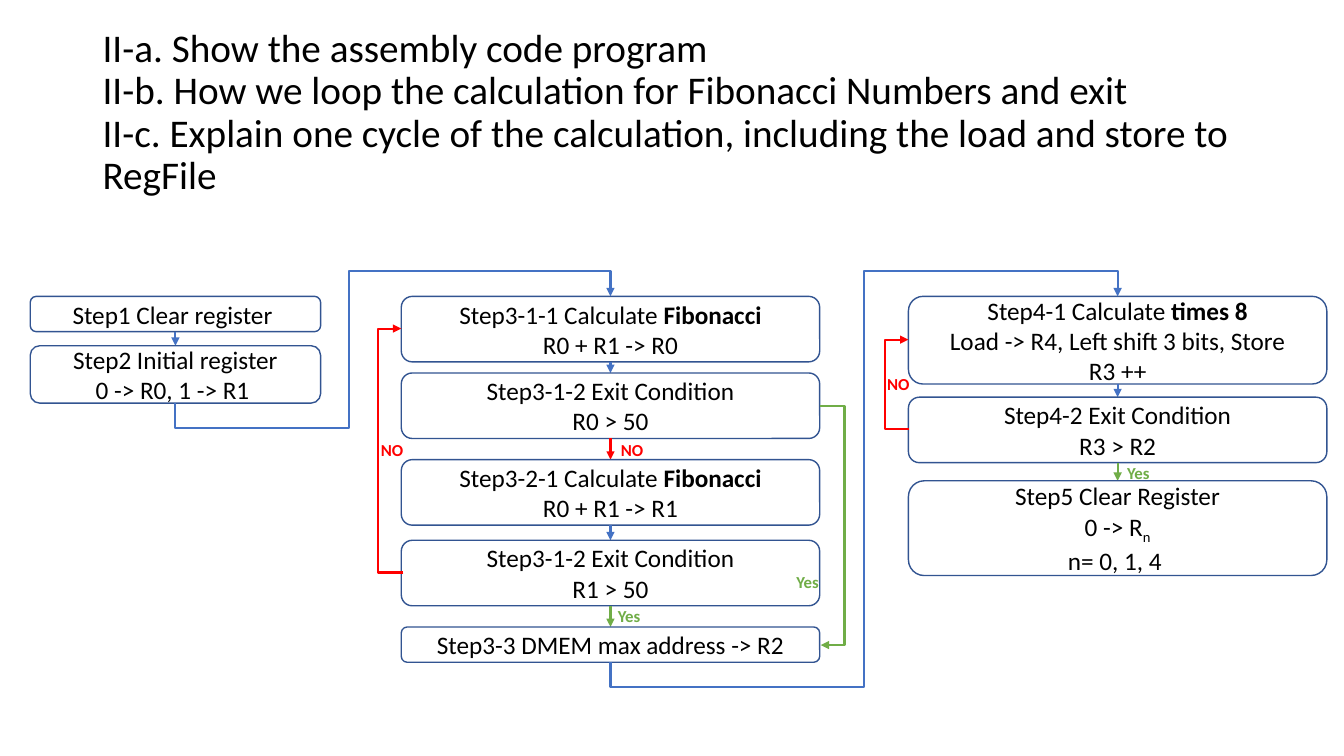
from lxml import etree
from pptx import Presentation
from pptx.dml.color import RGBColor as RGB
from pptx.enum.shapes import MSO_CONNECTOR as LINK, MSO_SHAPE as SHAPE
from pptx.enum.text import MSO_ANCHOR as ANCHOR, PP_ALIGN as ALIGN
from pptx.oxml.ns import qn
from pptx.util import Inches, Pt

HEX = {"black": "000000", "edge": "325491", "blue": "4472C4",
       "red": "FF0000", "green": "70AD47"}
FONT = "Calibri"

TITLE = [
    "II-a. Show the assembly code program",
    "II-b. How we loop the calculation for Fibonacci Numbers and exit",
    "II-c. Explain one cycle of the calculation, including the load and store to RegFile",
]

# Columns: left, width, steps; a step is top, height, lines, colour of arrow to next.
# A line is a string, or (text, marked text, mark).
COLS = [
    (0.3, 2.88, [
        (2.94, 0.35, ["Step1 Clear register "], "blue"),
        (3.43, 0.57, ["Step2 Initial register", "0 -> R0, 1 -> R1 "], None),
    ]),
    (3.98, 4.15, [
        (2.94, 0.65, [("Step3-1-1 Calculate ", "Fibonacci", "bold"), "R0 + R1 -> R0"], "blue"),
        (3.7, 0.65, ["Step3-1-2 Exit Condition", "R0 > 50"], "red"),
        (4.56, 0.65, [("Step3-2-1 Calculate ", "Fibonacci", "bold"), "R0 + R1 -> R1"], "blue"),
        (5.36, 0.65, ["Step3-1-2 Exit Condition", "R1 > 50"], "green"),
        (6.22, 0.35, ["Step3-3 DMEM max address -> R2"], None),
    ]),
    (9.01, 4.15, [
        (2.94, 0.87, [("Step4-1 Calculate ", "times 8", "bold"),
                      "Load -> R4, Left shift 3 bits, Store", "R3 ++"], "blue"),
        (3.94, 0.65, ["Step4-2 Exit Condition", "R3 > R2"], "green"),
        (4.77, 0.94, ["Step5 Clear Register", ("0 -> R", "n", "sub"), "n= 0, 1, 4 "], None),
    ]),
]

# Side loops: start, end, x of the upright part, colour
LOOPS = [
    ((4, 5.68), (3.98, 3.26), 3.75, "red"),
    ((8.13, 4.03), (8.14, 6.4), 8.38, "green"),
    ((9.02, 4.26), (9.01, 3.37), 8.77, "red"),
]

# Links between columns: from, to, x of the upright part
JUMPS = [(1, 2, 8.57), (0, 1, 3.46)]
REACH = 0.25

LABELS = [
    (6.06, 4.31, "NO", "red"), (3.68, 4.31, "NO", "red"),
    (6.03, 5.96, "Yes", "green"), (7.8, 5.62, "Yes", "green"),
    (8.7, 3.66, "NO", "red"), (11.08, 4.54, "Yes", "green"),
]

deck = Presentation()
deck.slide_width, deck.slide_height = Inches(13.33), Inches(7.5)
slide = deck.slides.add_slide(deck.slide_layouts[6])
shapes = slide.shapes


def style(para, size, color, bold=None):
    font = para.font
    font.name, font.size, font.bold = FONT, Pt(size), bold
    font.color.rgb = RGB.from_string(HEX[color])


def text_box(x, y, w, h):
    frame = shapes.add_textbox(*map(Inches, (x, y, w, h))).text_frame
    frame.word_wrap = True
    return frame


def step_box(x, y, w, h, lines):
    box = shapes.add_shape(SHAPE.ROUNDED_RECTANGLE, *map(Inches, (x, y, w, h)))
    box.shadow.inherit = False
    box.fill.background()
    box.line.color.rgb = RGB.from_string(HEX["edge"])
    box.line.width = Pt(1)
    frame = box.text_frame
    frame.word_wrap = True
    frame.vertical_anchor = ANCHOR.MIDDLE
    for i, line in enumerate(lines):
        para = frame.paragraphs[0] if i == 0 else frame.add_paragraph()
        para.alignment = ALIGN.CENTER
        style(para, 18, "black")
        plain, extra, mark = (line, "", "") if isinstance(line, str) else line
        para.add_run().text = plain
        if extra:
            run = para.add_run()
            run.text = extra
            if mark == "bold":
                run.font.bold = True
            else:
                run._r.get_or_add_rPr().set("baseline", "-25000")


def arrow(start, end, color, kind=LINK.STRAIGHT):
    link = shapes.add_connector(kind, *map(Inches, (*start, *end)))
    link.line.color.rgb = RGB.from_string(HEX[color])
    link.line.width = Pt(1.5)
    etree.SubElement(link.line._get_or_add_ln(), qn("a:tailEnd"), type="triangle")
    props = link._element.spPr
    etree.SubElement(props, qn("a:effectLst"))
    return props


def bend(props, *ratios):
    geom = props.find(qn("a:prstGeom"))
    geom.set("prst", f"bentConnector{len(ratios) + 2}")
    guides = geom.find(qn("a:avLst"))
    if guides is None:
        guides = etree.SubElement(geom, qn("a:avLst"))
    for i, ratio in enumerate(ratios, 1):
        etree.SubElement(guides, qn("a:gd"), name=f"adj{i}",
                         fmla=f"val {round(ratio * 100000)}")


# Title
frame = text_box(0.92, 0.4, 11.5, 1.45)
frame.vertical_anchor = ANCHOR.MIDDLE
head = frame.paragraphs[0]
head.line_spacing = 0.9
style(head, 28, "black")
for i, line in enumerate(TITLE):
    if i:
        head.add_line_break()
    head.add_run().text = line

# Steps and the short arrows between them
for x, w, steps in COLS:
    for i, (y, h, lines, color) in enumerate(steps):
        step_box(x, y, w, h, lines)
        if color:
            mid = x + w / 2
            arrow((mid, y + h), (mid, steps[i + 1][0]), color)

# Side loops
for start, end, x, color in LOOPS:
    props = arrow(start, end, color, LINK.ELBOW)
    bend(props, (x - start[0]) / (end[0] - start[0]))

# Links from the foot of one column to the top of the next, turned a quarter
for a, b, x in JUMPS:
    (left, wide, steps), (left2, wide2, steps2) = COLS[a], COLS[b]
    x1, y1 = left + wide / 2, steps[-1][0] + steps[-1][1]
    x2, y2 = left2 + wide2 / 2, steps2[0][0]
    cx, cy, run, rise = (x1 + x2) / 2, (y1 + y2) / 2, x2 - x1, y1 - y2
    props = arrow((cx + rise / 2, cy + run / 2), (cx - rise / 2, cy - run / 2),
                  "blue", LINK.ELBOW)
    props.find(qn("a:xfrm")).set("rot", "5400000")
    bend(props, -REACH / rise, (x - x1) / run, 1 + REACH / rise)

# Branch labels
for x, y, word, color in LABELS:
    para = text_box(x, y, 0.63, 0.3).paragraphs[0]
    para.add_run().text = word
    style(para, 12, color, True)

deck.save("out.pptx")
